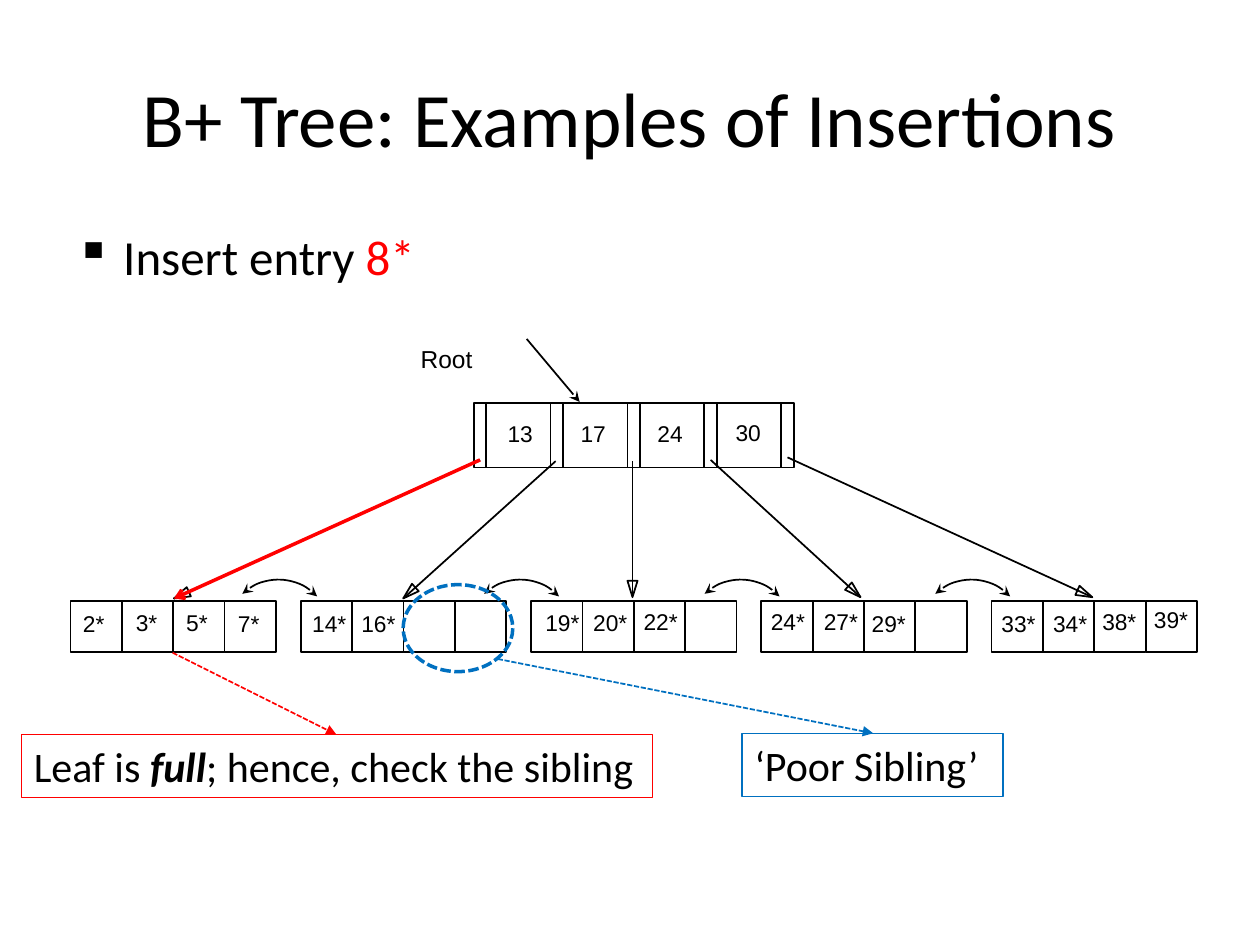
from math import hypot
from typing import NamedTuple, Optional

from lxml.etree import SubElement
from pptx import Presentation
from pptx.dml.color import RGBColor
from pptx.enum.dml import MSO_LINE
from pptx.enum.shapes import MSO_CONNECTOR, MSO_SHAPE
from pptx.enum.text import MSO_ANCHOR, PP_ALIGN
from pptx.oxml.ns import qn
from pptx.util import Inches, Pt

BLACK = RGBColor(0x00, 0x00, 0x00)
RED = RGBColor(0xFF, 0x00, 0x00)
BLUE = RGBColor(0x00, 0x70, 0xC0)

ROOT_LEFT, ROOT_TOP, ROOT_HEIGHT = 3.76, 3.2, 0.51
KEY_PITCH, POINTER_WIDTH = 0.61, 0.1
LEAF_LEFT, LEAF_TOP, LEAF_PITCH = 0.56, 4.77, 7.31 / 4
CELL = 1.63 / 4
HEAD_LENGTH, HEAD_HALF_WIDTH = 0.13, 0.04
ARC_RADIUS, ARC_CENTRE_Y = 0.42, 5.02


class Label(NamedTuple):
    text: str
    left: float
    top: float


class Arrow(NamedTuple):
    x1: float
    y1: float
    x2: float
    y2: float
    color: RGBColor = BLACK
    weight: float = 1
    head: Optional[str] = None
    dashed: bool = False


class Callout(NamedTuple):
    phrases: tuple[str, ...]
    left: float
    top: float
    width: float
    color: RGBColor


ROOT_KEYS = [Label("13", 3.93, 3.28), Label("17", 4.51, 3.28),
             Label("24", 5.12, 3.28), Label("30", 5.74, 3.27)]
LEAVES = [
    [Label("2*", 0.56, 4.79), Label("3*", 0.98, 4.78),
     Label("5*", 1.38, 4.78), Label("7*", 1.79, 4.79)],
    [Label("14*", 2.38, 4.79), Label("16*", 2.77, 4.79)],
    [Label("19*", 4.23, 4.78), Label("20*", 4.61, 4.78), Label("22*", 5.01, 4.77)],
    [Label("24*", 6.02, 4.77), Label("27*", 6.44, 4.77), Label("29*", 6.82, 4.79)],
    [Label("33*", 7.85, 4.79), Label("34*", 8.26, 4.79),
     Label("38*", 8.65, 4.77), Label("39*", 9.06, 4.76)],
]
CHILD_EDGES = [Arrow(3.81, 3.65, 1.38, 4.75), Arrow(4.41, 3.66, 3.2, 4.75),
               Arrow(5.02, 3.66, 5.02, 4.74), Arrow(5.64, 3.65, 6.83, 4.74),
               Arrow(6.25, 3.63, 8.67, 4.74)]
SIBLING_LINK_CENTRES = [2.21, 4.13, 5.88, 7.71]
ROOT_ARROW = Arrow(4.18, 2.69, 4.6, 3.19, head="stealth")
SEARCH_ARROW = Arrow(3.81, 3.65, 1.38, 4.75, RED, 2, "arrow")
CALLOUT_ARROWS = [Arrow(3.95, 5.23, 6.93, 5.82, BLUE, 1, "triangle", True),
                  Arrow(1.37, 5.18, 2.67, 5.83, RED, 1, "triangle", True)]
CALLOUTS = [
    Callout(("Leaf is ", "full", "; hence, check the sibling"), 0.17, 5.83, 5.01, RED),
    Callout(("‘Poor Sibling’",), 5.89, 5.82, 2.07, BLUE),
]


def format_run(run, size: float, font: str, color: RGBColor = BLACK) -> None:
    run.font.size = Pt(size)
    run.font.name = font
    run.font.color.rgb = color


def add_line_end(line_owner, end: str, kind: str) -> None:
    line_xml = line_owner._element.spPr.find(qn("a:ln"))
    SubElement(line_xml, qn(f"a:{end}")).set("type", kind)


def add_outline(shapes, preset, left: float, top: float, width: float, height: float,
                color: RGBColor = BLACK, weight: float = 1):
    outline = shapes.add_shape(preset, Inches(left), Inches(top),
                               Inches(width), Inches(height))
    outline.shadow.inherit = False
    outline.fill.background()
    outline.line.color.rgb = color
    outline.line.width = Pt(weight)
    return outline


def add_text(shapes, left: float, top: float, width: float, height: float,
             text: str, size: float, font: str, wrap: bool = False):
    box = shapes.add_textbox(Inches(left), Inches(top), Inches(width), Inches(height))
    frame = box.text_frame
    frame.word_wrap = wrap
    frame.text = text
    format_run(frame.paragraphs[0].runs[0], size, font)
    return frame


def add_label(shapes, label: Label) -> None:
    stars = label.text.count("*")
    width = 0.2 + 0.1 * (len(label.text) - stars) + 0.07 * stars
    add_text(shapes, label.left, label.top, width, 0.32, label.text, 13, "Arial")


def add_arrow(shapes, arrow: Arrow) -> None:
    connector = shapes.add_connector(
        MSO_CONNECTOR.STRAIGHT, Inches(arrow.x1), Inches(arrow.y1),
        Inches(arrow.x2), Inches(arrow.y2))
    connector.line.color.rgb = arrow.color
    connector.line.width = Pt(arrow.weight)
    if arrow.dashed:
        connector.line.dash_style = MSO_LINE.SQUARE_DOT
    if arrow.head:
        add_line_end(connector, "tailEnd", arrow.head)
    SubElement(connector._element.spPr, qn("a:effectLst"))


def add_open_head(shapes, edge: Arrow) -> None:
    dx, dy = edge.x2 - edge.x1, edge.y2 - edge.y1
    length = hypot(dx, dy)
    ux, uy = dx / length, dy / length
    base_x, base_y = edge.x2 - HEAD_LENGTH * ux, edge.y2 - HEAD_LENGTH * uy
    sides = [(Inches(base_x - side * uy), Inches(base_y + side * ux))
             for side in (HEAD_HALF_WIDTH, -HEAD_HALF_WIDTH)]
    builder = shapes.build_freeform(Inches(edge.x2), Inches(edge.y2))
    builder.add_line_segments(sides, close=True)
    head = builder.convert_to_shape()
    head.shadow.inherit = False
    head.fill.background()
    head.line.color.rgb = BLACK
    head.line.width = Pt(1)


def add_sibling_link(shapes, centre_x: float) -> None:
    link = add_outline(shapes, MSO_SHAPE.ARC, centre_x - ARC_RADIUS,
                       ARC_CENTRE_Y - ARC_RADIUS, 2 * ARC_RADIUS, 2 * ARC_RADIUS)
    link.rotation = 317
    add_line_end(link, "headEnd", "stealth")
    add_line_end(link, "tailEnd", "stealth")


def add_callout(shapes, callout: Callout) -> None:
    box = add_outline(shapes, MSO_SHAPE.RECTANGLE, callout.left, callout.top,
                      callout.width, 0.5, callout.color, 0.75)
    frame = box.text_frame
    frame.word_wrap = False
    frame.vertical_anchor = MSO_ANCHOR.TOP
    paragraph = frame.paragraphs[0]
    paragraph.alignment = PP_ALIGN.LEFT
    for phrase in callout.phrases:
        run = paragraph.add_run()
        run.text = phrase
        format_run(run, 24, "Calibri")
        run.font.bold = run.font.italic = phrase == "full"


def main() -> None:
    prs = Presentation()
    prs.slide_width, prs.slide_height = Inches(10), Inches(7.5)
    shapes = prs.slides.add_slide(prs.slide_layouts[6]).shapes

    # Title and task
    title = add_text(shapes, 0.5, 0.3, 9, 1.25,
                     "B+ Tree: Examples of Insertions", 44, "Calibri", wrap=True)
    title.vertical_anchor = MSO_ANCHOR.MIDDLE
    title.paragraphs[0].alignment = PP_ALIGN.CENTER
    task = add_text(shapes, 0.5, 1.75, 9, 5.42, "Insert entry ", 28, "Calibri", wrap=True)
    paragraph = task.paragraphs[0]
    properties = paragraph._p.get_or_add_pPr()
    properties.set("marL", str(Inches(0.38)))
    properties.set("indent", str(-Inches(0.38)))
    SubElement(properties, qn("a:buChar")).set("char", "▪")
    entry = paragraph.add_run()
    entry.text = "8*"
    format_run(entry, 28, "Calibri", RED)

    # Root node: a pointer slot before each key and one after the last
    for index, key in enumerate(ROOT_KEYS):
        left = ROOT_LEFT + index * KEY_PITCH
        add_outline(shapes, MSO_SHAPE.RECTANGLE, left, ROOT_TOP, KEY_PITCH, ROOT_HEIGHT)
        divider = left + POINTER_WIDTH
        add_arrow(shapes, Arrow(divider, ROOT_TOP, divider, ROOT_TOP + ROOT_HEIGHT))
        add_label(shapes, key)
    add_outline(shapes, MSO_SHAPE.RECTANGLE, ROOT_LEFT + len(ROOT_KEYS) * KEY_PITCH,
                ROOT_TOP, POINTER_WIDTH, ROOT_HEIGHT)
    add_text(shapes, 3.24, 2.68, 0.64, 0.33, "Root", 14, "Arial")
    add_arrow(shapes, ROOT_ARROW)

    # Leaves: four cells each
    for index, entries in enumerate(LEAVES):
        for cell in range(4):
            add_outline(shapes, MSO_SHAPE.RECTANGLE,
                        LEAF_LEFT + index * LEAF_PITCH + cell * CELL, LEAF_TOP, CELL, CELL)
        for label in entries:
            add_label(shapes, label)

    # Links from root to leaves and between leaves
    for edge in CHILD_EDGES:
        add_arrow(shapes, edge)
        add_open_head(shapes, edge)
    for centre_x in SIBLING_LINK_CENTRES:
        add_sibling_link(shapes, centre_x)

    # Search arrow, free space in the sibling, and callouts
    add_arrow(shapes, SEARCH_ARROW)
    free_space = add_outline(shapes, MSO_SHAPE.OVAL, 3.2, 4.64, 0.87, 0.69, BLUE, 2)
    free_space.line.dash_style = MSO_LINE.SQUARE_DOT
    for callout in CALLOUTS:
        add_callout(shapes, callout)
    for arrow in CALLOUT_ARROWS:
        add_arrow(shapes, arrow)

    prs.save("out.pptx")


if __name__ == "__main__":
    main()
